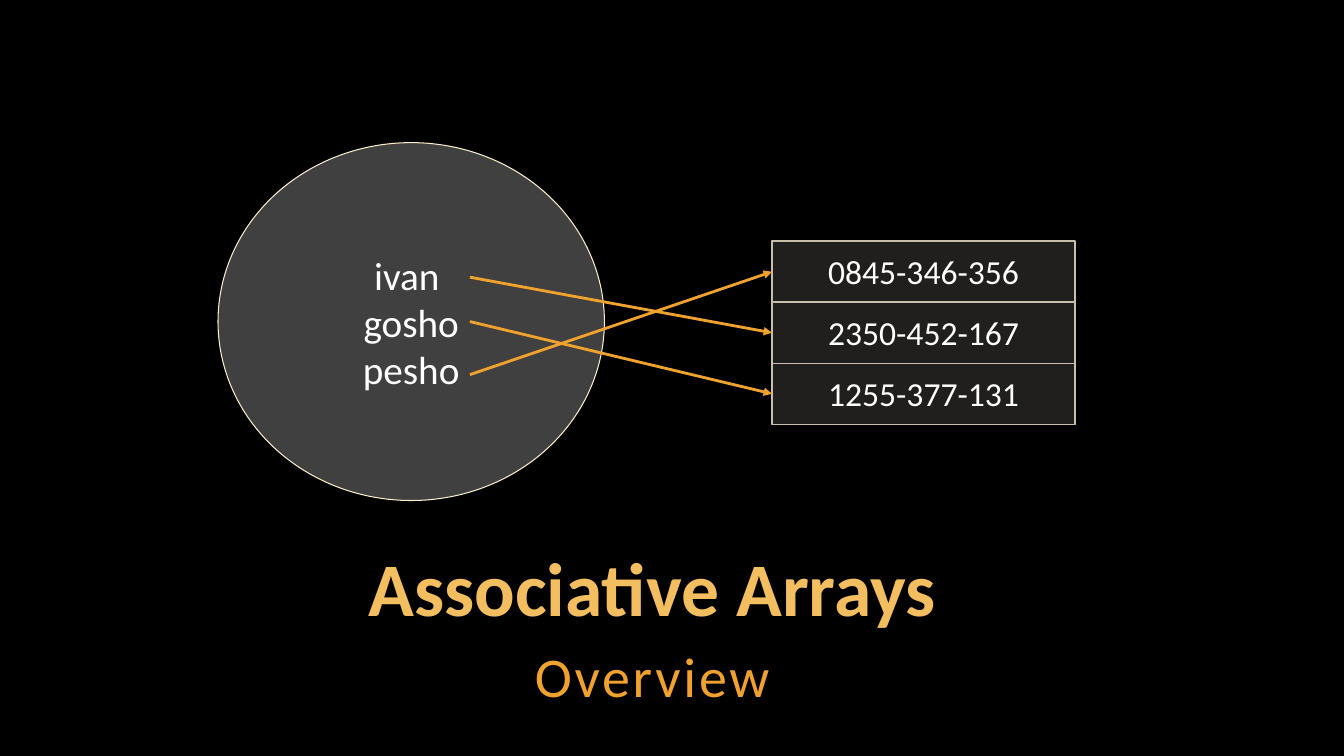
from lxml.etree import SubElement
from pptx import Presentation
from pptx.dml.color import RGBColor
from pptx.enum.shapes import MSO_CONNECTOR, MSO_SHAPE
from pptx.enum.text import MSO_ANCHOR, PP_ALIGN
from pptx.oxml.ns import qn
from pptx.util import Pt

COLORS = {
    "background": "000000", "title": "F3BE60", "accent": "F0A22E", "text": "FFFFFF",
    "circle": "808080", "circle_line": "FBEEC9", "cell": "D9D5C7", "cell_line": "C7BFAC",
}


def write_text(shape, text, size, color, bold=None, anchor=MSO_ANCHOR.TOP,
               margins=(7.2, 3.6), line_spacing=None, space_after=None, tracking=None):
    """Fill a shape with centred text, one paragraph per line; margins are (sides, top and bottom)."""
    frame = shape.text_frame
    frame.word_wrap = True
    frame.vertical_anchor = anchor
    frame.margin_left = frame.margin_right = Pt(margins[0])
    frame.margin_top = frame.margin_bottom = Pt(margins[1])
    for index, line in enumerate(text.split("\n")):
        para = frame.paragraphs[0] if index == 0 else frame.add_paragraph()
        para.alignment = PP_ALIGN.CENTER
        para.line_spacing = line_spacing
        if space_after is not None:
            para.space_after = Pt(space_after)
        span = para.add_run()
        span.text = line
        span.font.name = "Calibri"
        span.font.size = Pt(size)
        span.font.bold = bold
        span.font.color.rgb = RGBColor.from_string(COLORS[color])
        if tracking:
            span.font._element.set("spc", str(tracking * 100))


def add_glass_shape(kind, left, top, width, height, fill, opacity, line_width):
    """Add a shape with a see-through fill; opacity is in percent."""
    shape = page.shapes.add_shape(kind, Pt(left), Pt(top), Pt(width), Pt(height))
    shape.shadow.inherit = False
    shape.fill.solid()
    shape.fill.fore_color.rgb = RGBColor.from_string(COLORS[fill])
    fill_color = shape._element.spPr.find(qn("a:solidFill"))[0]
    SubElement(fill_color, qn("a:alpha")).set("val", str(opacity * 1000))
    shape.line.color.rgb = RGBColor.from_string(COLORS[fill + "_line"])
    shape.line.width = Pt(line_width)
    return shape


deck = Presentation()
deck.slide_width, deck.slide_height = Pt(960), Pt(540)
page = deck.slides.add_slide(deck.slide_layouts[6])
page.background.fill.solid()
page.background.fill.fore_color.rgb = RGBColor.from_string(COLORS["background"])

# Title and subtitle
title = page.shapes.add_textbox(Pt(113.8), Pt(390.2), Pt(704.2), Pt(64.8))
write_text(title, "Associative Arrays", 54, "title", bold=True,
           anchor=MSO_ANCHOR.BOTTOM, margins=(2.88, 2.88), line_spacing=0.9)
subtitle = page.shapes.add_textbox(Pt(113.8), Pt(452.9), Pt(704.2), Pt(54))
write_text(subtitle, "Overview", 40, "accent", margins=(2.88, 2.88),
           line_spacing=1.05, space_after=6, tracking=2)

# Keys
circle = add_glass_shape(MSO_SHAPE.OVAL, 155.7, 101.9, 276, 255.6, "circle", 50, 0.75)
write_text(circle, "ivan \ngosho\npesho", 28, "text", anchor=MSO_ANCHOR.MIDDLE)

# Values
CELL_LEFT, CELL_TOP, CELL_WIDTH, CELL_HEIGHT = 551.5, 172.3, 216.5, 43.6
cells = []
for row, number in enumerate(["0845-346-356", "2350-452-167", "1255-377-131"]):
    cell = add_glass_shape(MSO_SHAPE.RECTANGLE, CELL_LEFT, CELL_TOP + row * CELL_HEIGHT,
                           CELL_WIDTH, CELL_HEIGHT, "cell", 15, 1)
    write_text(cell, number, 24, "text", margins=(14.4, 7.2))
    cells.append(cell)

# Arrows from each key to its value: start height, row of the value
for start_top, row in [(198, 1), (229.7, 2), (267.6, 0)]:
    arrow = page.shapes.add_connector(
        MSO_CONNECTOR.STRAIGHT, Pt(335.7), Pt(start_top),
        Pt(CELL_LEFT), Pt(CELL_TOP + (row + 0.5) * CELL_HEIGHT))
    arrow.end_connect(cells[row], 1)
    arrow.line.color.rgb = RGBColor.from_string(COLORS["accent"])
    arrow.line.width = Pt(2)
    SubElement(arrow.line._get_or_add_ln(), qn("a:tailEnd")).set("type", "triangle")
    SubElement(arrow._element.spPr, qn("a:effectLst"))

deck.save("out.pptx")
